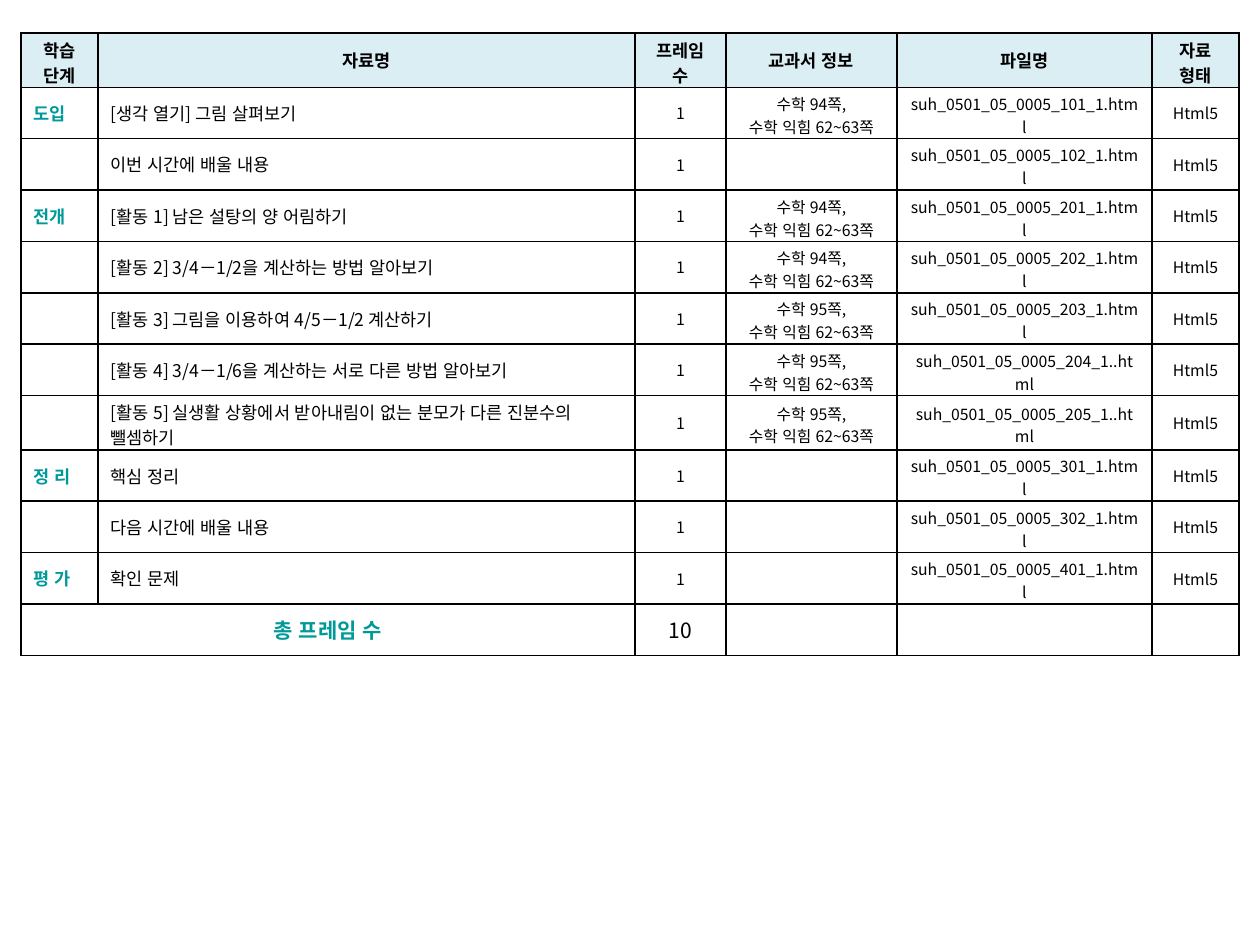
from dataclasses import dataclass

from lxml.etree import SubElement
from pptx import Presentation
from pptx.dml.color import RGBColor
from pptx.enum.lang import MSO_LANGUAGE_ID as Language
from pptx.enum.text import MSO_ANCHOR, PP_ALIGN as Align
from pptx.oxml import parse_xml
from pptx.oxml.ns import nsdecls, qn
from pptx.util import Pt


@dataclass(frozen=True)
class Theme:
    font: str = "Noto Sans CJK KR"
    text: str = "000000"
    accent: str = "009999"
    header_fill: str = "DBEEF4"
    border: str = "000000"
    small: int = 9
    normal: int = 10
    total: int = 12


THEME = Theme()
PX = 914400 // 126  # EMU per px

# Content
HEADERS = ["학습 단계", "자료명", "프레임 수", "교과서 정보", "파일명", "자료\n형태"]
PAGES_94 = "수학 94쪽,\n수학 익힘 62~63쪽"
PAGES_95 = "수학 95쪽,\n수학 익힘 62~63쪽"
LONG_NAME = "[활동 5] 실생활 상황에서 받아내림이 없는 분모가 다른 진분수의 뺄셈하기"
# stage, material, textbook pages, file name
MATERIALS = [
    ("도입", "[생각 열기] 그림 살펴보기", PAGES_94, "suh_0501_05_0005_101_1.html"),
    ("", "이번 시간에 배울 내용", "", "suh_0501_05_0005_102_1.html"),
    ("전개", "[활동 1] 남은 설탕의 양 어림하기", PAGES_94, "suh_0501_05_0005_201_1.html"),
    ("", "[활동 2] 3/4－1/2을 계산하는 방법 알아보기", PAGES_94, "suh_0501_05_0005_202_1.html"),
    ("", "[활동 3] 그림을 이용하여 4/5－1/2 계산하기", PAGES_95, "suh_0501_05_0005_203_1.html"),
    ("", "[활동 4] 3/4－1/6을 계산하는 서로 다른 방법 알아보기", PAGES_95,
     "suh_0501_05_0005_204_1..html"),
    ("", LONG_NAME, PAGES_95, "suh_0501_05_0005_205_1..html"),
    ("정 리", "핵심 정리", "", "suh_0501_05_0005_301_1.html"),
    ("", "다음 시간에 배울 내용", "", "suh_0501_05_0005_302_1.html"),
    ("평 가", "확인 문제", "", "suh_0501_05_0005_401_1.html"),
]
BODY = [[stage, name, "1", pages, file, "Html5"] for stage, name, pages, file in MATERIALS]
TOTAL = ["총 프레임 수", "", str(len(MATERIALS)), "", "", ""]
# Texts that take two lines in their cell
TWO_LINES = {HEADERS[0], HEADERS[2], HEADERS[5], PAGES_94, PAGES_95, LONG_NAME}
TWO_LINES |= {file for *_, file in MATERIALS}

# Layout in px
LEFT, TOP = 21, 33
COLUMNS = [77, 537, 91, 171, 255, 87]
HEADER_HEIGHT, BODY_HEIGHT = 54, 565
TIGHT_TOP = 4

# Text looks: size, colour, bold, alignment
HEADER_LOOK = (THEME.normal, THEME.text, True, Align.CENTER)
STAGE_LOOK = (THEME.normal, THEME.accent, True, Align.JUSTIFY)
NAME_LOOK = (THEME.normal, THEME.text, False, Align.LEFT)
DETAIL_LOOK = (THEME.small, THEME.text, False, Align.CENTER)
BODY_LOOKS = [STAGE_LOOK, NAME_LOOK] + [DETAIL_LOOK] * 4
TOTAL_LOOKS = [(THEME.total, THEME.accent, True, Align.CENTER)]
TOTAL_LOOKS += [(THEME.total, THEME.text, False, Align.CENTER)] * 5


def write(cell, text, look):
    size, color, bold, alignment = look
    cell.vertical_anchor = MSO_ANCHOR.MIDDLE
    if text in TWO_LINES:
        cell.margin_top, cell.margin_bottom = TIGHT_TOP * PX, 0
    cell.text_frame.text = text
    for paragraph in cell.text_frame.paragraphs:
        paragraph.alignment = alignment
        for run in paragraph.runs:
            run.font.size = Pt(size)
            run.font.bold = bold
            run.font.language_id = Language.KOREAN
            run.font.color.rgb = RGBColor.from_string(color)
            run.font.name = THEME.font
            SubElement(run.font._element, qn("a:ea"), typeface=THEME.font)
        # Keeps empty cells from growing their row
        SubElement(paragraph._p, qn("a:endParaRPr"), sz=str(size * 100))


def paint(cell, fill):
    if fill:
        cell.fill.solid()
        cell.fill.fore_color.rgb = RGBColor.from_string(fill)
    else:
        cell.fill.background()
    properties = cell._tc.get_or_add_tcPr()
    for index, side in enumerate(("lnL", "lnR", "lnT", "lnB")):
        properties.insert(index, parse_xml(
            f'<a:{side} {nsdecls("a")} w="{Pt(1)}"><a:solidFill>'
            f'<a:srgbClr val="{THEME.border}"/></a:solidFill></a:{side}>'))


def main():
    presentation = Presentation()
    presentation.slide_width, presentation.slide_height = 1260 * PX, 945 * PX
    slide = presentation.slides.add_slide(presentation.slide_layouts[6])

    # Table grid
    rows = [HEADERS, *BODY, TOTAL]
    looks = [[HEADER_LOOK] * len(HEADERS), *[BODY_LOOKS] * len(BODY), TOTAL_LOOKS]
    table = slide.shapes.add_table(
        len(rows), len(COLUMNS), LEFT * PX, TOP * PX,
        sum(COLUMNS) * PX, (HEADER_HEIGHT + BODY_HEIGHT) * PX).table
    table.horz_banding = table.first_row = False
    for column, width in zip(table.columns, COLUMNS):
        column.width = width * PX
    for row in table.rows:
        row.height = BODY_HEIGHT * PX // (len(rows) - 1)
    table.rows[0].height = HEADER_HEIGHT * PX

    # Cells
    for r, (texts, row_looks) in enumerate(zip(rows, looks)):
        for c, (text, look) in enumerate(zip(texts, row_looks)):
            write(table.cell(r, c), text, look)
            paint(table.cell(r, c), THEME.header_fill if r == 0 else None)
    last = len(rows) - 1
    table.cell(last, 0).merge(table.cell(last, 1))

    presentation.save("out.pptx")


if __name__ == "__main__":
    main()
